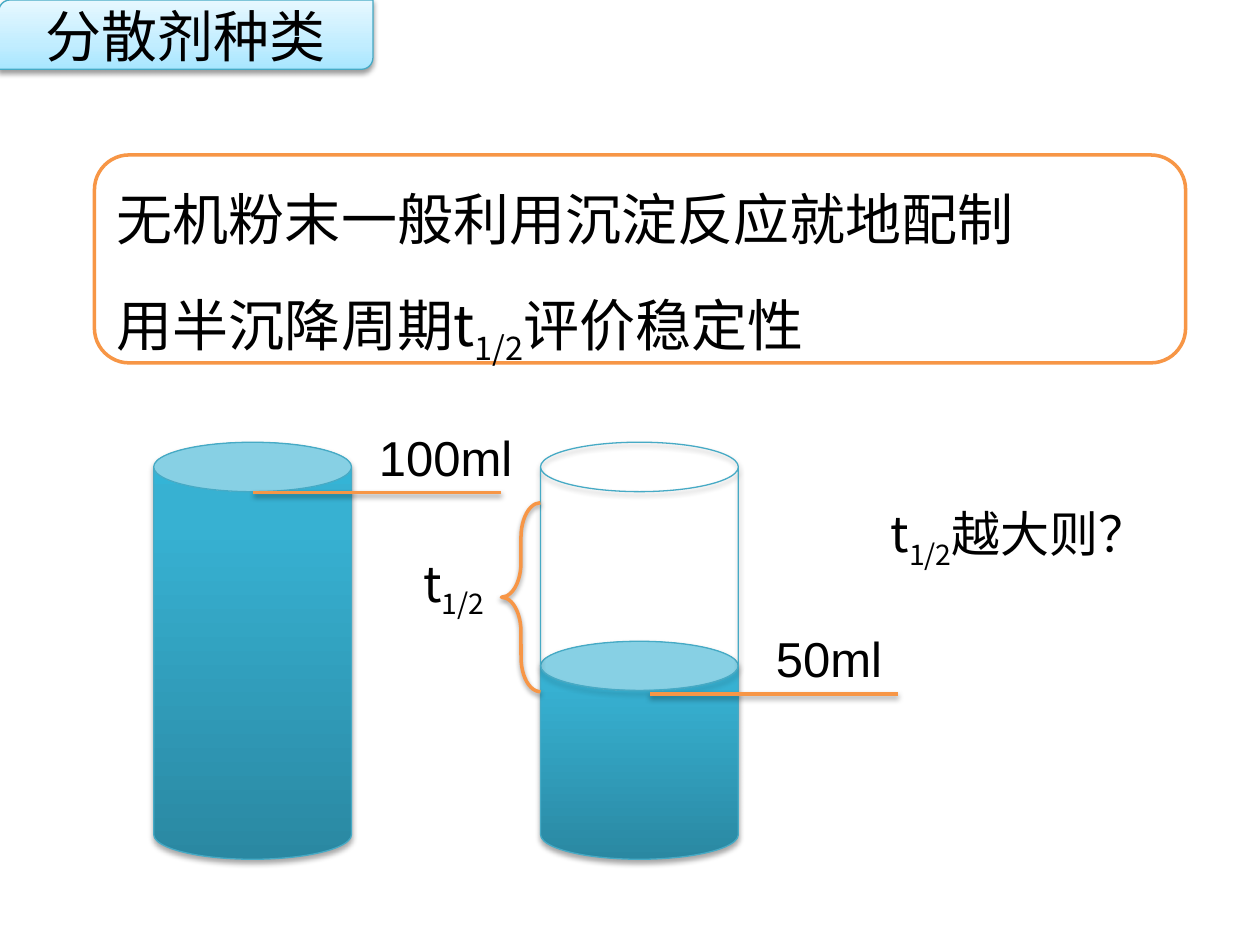
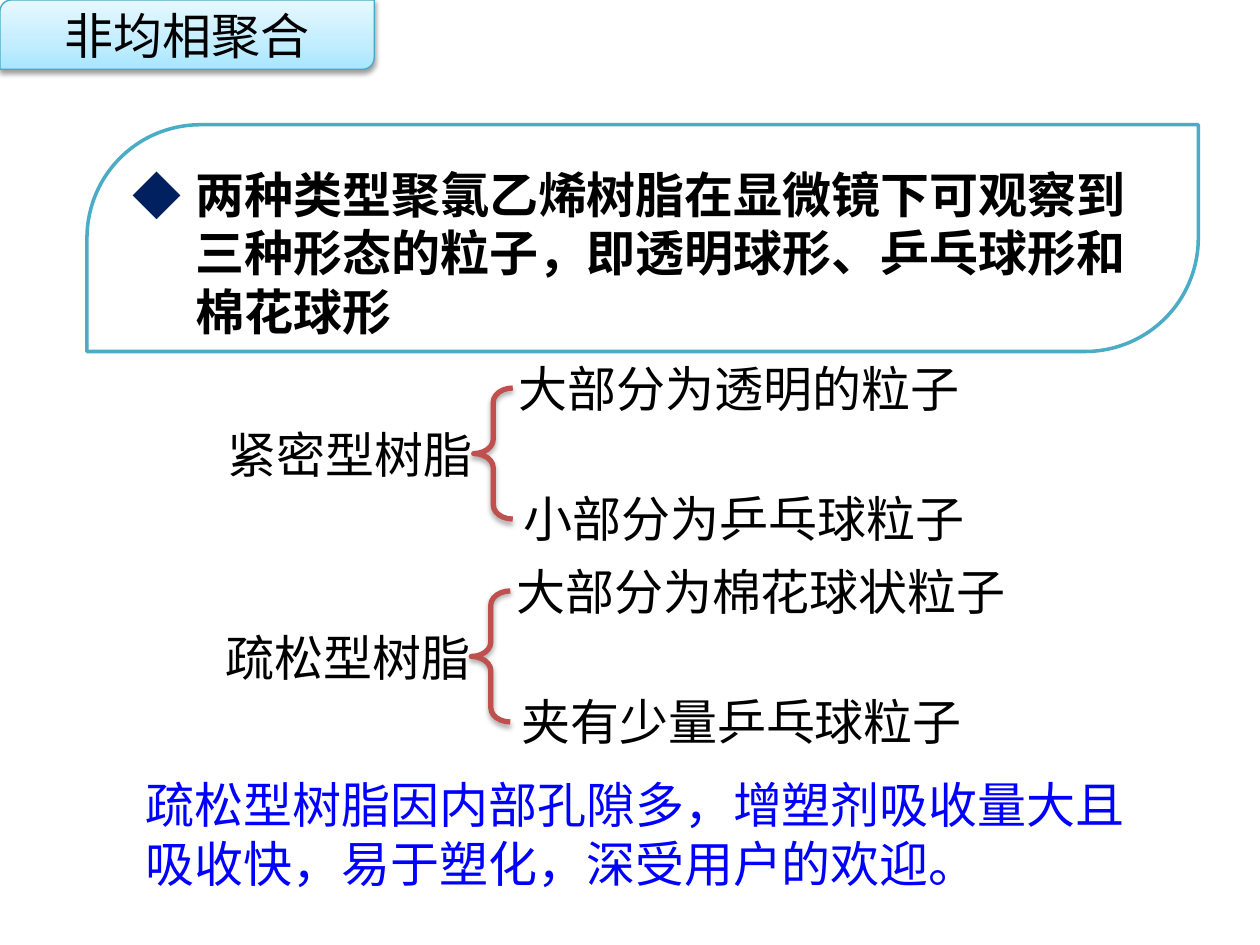
"""Build two slides on dispersants and heterogeneous polymerisation."""
from dataclasses import dataclass
from typing import Optional

import lxml.etree
import pptx
import pptx.dml.color
import pptx.enum.shapes
import pptx.enum.text
import pptx.oxml.ns
import pptx.util

Inches, Pt = pptx.util.Inches, pptx.util.Pt
SHAPE = pptx.enum.shapes.MSO_SHAPE
ANCHOR = pptx.enum.text.MSO_ANCHOR
ALIGN = pptx.enum.text.PP_ALIGN
qn = pptx.oxml.ns.qn

CJK, LATIN = "Noto Sans CJK SC", "Arial"
COLORS = {
    "text": "000000", "paper": "FFFFFF", "note": "0000FF", "bullet": "002060",
    "edge": "46AAC5", "leaf": "4BACC6", "orange": "F79646", "red": "C0504D",
}
TITLE_GRADIENT = ((0, "A7E6FF"), (35, "C1EDFF"), (100, "E7F8FF"))
WATER_GRADIENT = ((0, "2A88A2"), (80, "37B1D2"), (100, "34B4D6"))
HALF_LIFE = [("t", False), ("1/2", True)]


@dataclass(frozen=True)
class Shadow:
    alpha: int
    distance: float


SOFT, DEEP = Shadow(38, 1.6), Shadow(35, 1.8)


@dataclass(frozen=True)
class Box:
    left: float
    top: float
    width: float
    height: float

    def lengths(self) -> tuple:
        return tuple(Inches(v) for v in (self.left, self.top, self.width, self.height))


@dataclass(frozen=True)
class Style:
    kind: object
    line: str
    weight: float
    fill: Optional[str] = None
    gradient: tuple = ()
    shadow: Optional[Shadow] = None
    adjust: tuple = ()


@dataclass(frozen=True)
class Resin:
    left: float
    top: float
    name: str
    major: str
    minor: str


TITLE = Style(SHAPE.ROUND_2_DIAG_RECTANGLE, "edge", 0.75, gradient=TITLE_GRADIENT, shadow=SOFT)
FRAME = Style(SHAPE.ROUNDED_RECTANGLE, "orange", 2, fill="paper")
WATER = Style(SHAPE.CAN, "edge", 0.75, gradient=WATER_GRADIENT, shadow=DEEP)
GLASS = Style(SHAPE.CAN, "edge", 0.75, shadow=DEEP)
SPAN = Style(SHAPE.LEFT_BRACE, "orange", 2, shadow=SOFT, adjust=(0.885, 0.5))
BRACE = Style(SHAPE.LEFT_BRACE, "red", 3, shadow=DEEP, adjust=(0.366, 0.5))
LEAF = Style(SHAPE.ROUND_2_DIAG_RECTANGLE, "leaf", 2, adjust=(0.5, 0))

RESINS = (
    Resin(3.76, 3.08, "紧密型树脂", "大部分为透明的粒子", "小部分为乒乓球粒子"),
    Resin(3.74, 4.69, "疏松型树脂", "大部分为棉花球状粒子", "夹有少量乒乓球粒子"),
)


def rgb(name: str):
    return pptx.dml.color.RGBColor.from_string(COLORS[name])


def add_color(parent, value: str):
    return lxml.etree.SubElement(parent, qn("a:srgbClr"), val=value)


def set_shadow(sp, shadow: Optional[Shadow]) -> None:
    spPr = sp._element.spPr
    effects = spPr.find(qn("a:effectLst"))
    if effects is None:
        effects = lxml.etree.SubElement(spPr, qn("a:effectLst"))
    if shadow:
        outer = lxml.etree.SubElement(
            effects, qn("a:outerShdw"), blurRad=str(Pt(3.1)),
            dist=str(Pt(shadow.distance)), dir="5400000", rotWithShape="0")
        color = add_color(outer, COLORS["text"])
        lxml.etree.SubElement(color, qn("a:alpha"), val=str(shadow.alpha * 1000))


def set_gradient(sp, stops: tuple) -> None:
    sp.fill.gradient()
    sp.fill.gradient_angle = 90
    stop_list = sp._element.spPr.find(f".//{qn('a:gsLst')}")
    for old in list(stop_list):
        stop_list.remove(old)
    for position, value in stops:
        add_color(lxml.etree.SubElement(stop_list, qn("a:gs"), pos=str(position * 1000)), value)


def set_bullet(p, indent: float) -> None:
    pPr = p._p.get_or_add_pPr()
    pPr.set("marL", str(Inches(indent)))
    pPr.set("indent", str(Inches(-indent)))
    add_color(lxml.etree.SubElement(pPr, qn("a:buClr")), COLORS["bullet"])
    lxml.etree.SubElement(pPr, qn("a:buFont"), typeface=CJK)
    lxml.etree.SubElement(pPr, qn("a:buChar"), char="◆")


def write(sp, *lines, size: int = 28, font: str = CJK, color: str = "text", bold: bool = False,
          align=ALIGN.LEFT, anchor=ANCHOR.TOP, spacing: Optional[float] = None,
          indent: float = 0) -> None:
    tf = sp.text_frame
    tf.vertical_anchor = anchor
    for i, line in enumerate(lines):
        p = tf.add_paragraph() if i else tf.paragraphs[0]
        p.alignment = align
        if spacing:
            p.line_spacing = spacing
        if indent:
            set_bullet(p, indent)
        for text, lowered in [(line, False)] if isinstance(line, str) else line:
            r = p.add_run()
            r.text = text
            r.font.size, r.font.name, r.font.bold = Pt(size), font, bold
            r.font.color.rgb = rgb(color)
            rPr = r._r.get_or_add_rPr()
            lxml.etree.SubElement(rPr, qn("a:ea"), typeface=CJK)
            if lowered:
                rPr.set("baseline", "-25000")


def add_shape(s, box: Box, style: Style):
    sp = s.shapes.add_shape(style.kind, *box.lengths())
    for i, value in enumerate(style.adjust):
        sp.adjustments[i] = value
    if style.gradient:
        set_gradient(sp, style.gradient)
    elif style.fill:
        sp.fill.solid()
        sp.fill.fore_color.rgb = rgb(style.fill)
    else:
        sp.fill.background()
    sp.line.color.rgb = rgb(style.line)
    sp.line.width = Pt(style.weight)
    sp.shadow.inherit = False
    set_shadow(sp, style.shadow)
    return sp


def add_label(s, box: Box, line, wrap: bool = False, **fmt) -> None:
    sp = s.shapes.add_textbox(*box.lengths())
    sp.text_frame.word_wrap = wrap
    sp.text_frame.auto_size = pptx.enum.text.MSO_AUTO_SIZE.SHAPE_TO_FIT_TEXT
    write(sp, line, **fmt)


def add_level(s, left: float, top: float) -> None:
    ends = (Inches(v) for v in (left, top, left + 1.97, top))
    cx = s.shapes.add_connector(pptx.enum.shapes.MSO_CONNECTOR.STRAIGHT, *ends)
    cx.line.color.rgb = rgb("orange")
    cx.line.width = Pt(2)
    set_shadow(cx, SOFT)


def add_slide(prs, title: str, left: float, size: int):
    s = prs.slides.add_slide(prs.slide_layouts[6])
    sp = add_shape(s, Box(left, 0, 2.97, 0.55), TITLE)
    write(sp, title, size=size, align=ALIGN.CENTER, anchor=ANCHOR.MIDDLE)
    return s


def build_dispersants(prs) -> None:
    s = add_slide(prs, "分散剂种类", -0.01, 32)
    frame = add_shape(s, Box(0.75, 1.23, 8.66, 1.65), FRAME)
    write(frame, "无机粉末一般利用沉淀反应就地配制",
          [("用半沉降周期", False), *HALF_LIFE, ("评价稳定性", False)],
          size=32, anchor=ANCHOR.MIDDLE, spacing=1.5)
    add_shape(s, Box(1.22, 3.51, 1.57, 3.31), WATER)
    add_shape(s, Box(4.29, 5.09, 1.57, 1.73), WATER)
    add_shape(s, Box(4.29, 3.51, 1.57, 1.97), GLASS)
    add_level(s, 2.01, 3.91)
    add_label(s, Box(2.91, 3.34, 1.27, 0.57), "100ml", font=LATIN)
    add_level(s, 5.16, 5.51)
    add_label(s, Box(6.06, 4.94, 1.06, 0.57), "50ml", font=LATIN)
    add_label(s, Box(6.97, 3.95, 2.36, 0.57), [*HALF_LIFE, ("越大则？", False)])
    add_shape(s, Box(3.98, 3.99, 0.31, 1.5), SPAN)
    add_label(s, Box(3.26, 4.34, 0.79, 0.57), HALF_LIFE)


def add_resin(s, resin: Resin) -> None:
    x, y = resin.left, resin.top
    add_shape(s, Box(x, y, 0.31, 1.04), BRACE)
    major_width = 0.2 + 0.39 * len(resin.major)
    add_label(s, Box(x - 2.05, y + 0.24, 2.17, 0.57), resin.name, font=LATIN)
    add_label(s, Box(x + 0.26, y - 0.28, major_width, 0.57), resin.major, font=LATIN)
    add_label(s, Box(x + 0.3, y + 0.75, 3.74, 0.57), resin.minor, font=LATIN)


def build_polymerisation(prs) -> None:
    s = add_slide(prs, "非均相聚合", 0, 28)
    leaf = add_shape(s, Box(0.69, 0.99, 8.82, 1.8), LEAF)
    write(leaf, "两种类型聚氯乙烯树脂在显微镜下可观察到三种形态的粒子，即透明球形、乒乓球形和棉花球形",
          bold=True, indent=0.5)
    for resin in RESINS:
        add_resin(s, resin)
    add_label(s, Box(1.06, 6.1, 8.34, 1.04),
              "疏松型树脂因内部孔隙多，增塑剂吸收量大且吸收快，易于塑化，深受用户的欢迎。",
              wrap=True, color="note")


def main() -> None:
    prs = pptx.Presentation()
    prs.slide_width, prs.slide_height = Inches(10), Inches(7.5)
    build_dispersants(prs)
    build_polymerisation(prs)
    prs.save("out.pptx")


if __name__ == "__main__":
    main()
